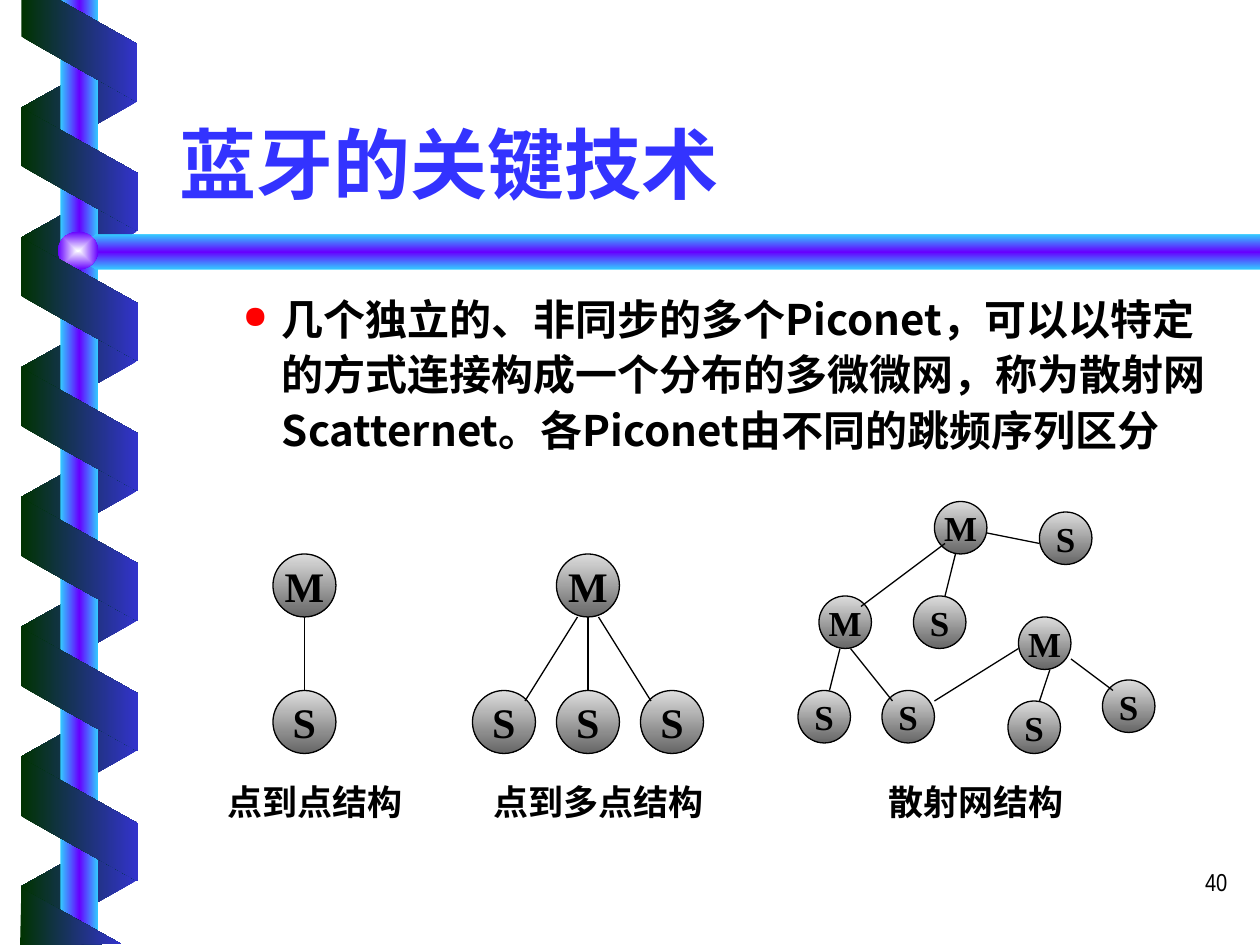
from lxml.etree import SubElement
from pptx import Presentation
from pptx.dml.color import RGBColor
from pptx.enum.shapes import MSO_CONNECTOR as CONN, MSO_SHAPE as SHAPE
from pptx.enum.text import MSO_ANCHOR as ANCHOR, PP_ALIGN as ALIGN
from pptx.oxml.ns import qn
from pptx.util import Inches, Pt

W, H = Inches(10), Inches(7.5)
CJK, SERIF = "Noto Sans CJK SC", "Times New Roman"
GREEN, BLUE, BLACK = "003300", "3333CC", "000000"
GLOW = ("33CCFF", "6600FF", "33CCFF")
CELL_X, CELL_Y, GRID_TOP = 100 / 120, 100 / 90, 53.07


def rgb(value):
    return RGBColor.from_string(value)


def at(x, y):
    return int(W * x / 100), int(H * y / 100)


def cell(col, row):
    return col * CELL_X, GRID_TOP + row * CELL_Y


def child(parent, tag, **attrs):
    return SubElement(parent, qn(tag), attrs)


def shade(sp, colors, angle=0, radial=False, turns=True):
    sp.shadow.inherit = False
    sp.line.fill.background()
    sp.fill.gradient()
    grad = sp._element.spPr.find(qn("a:gradFill"))
    grad.set("rotWithShape", str(int(turns)))
    for old in list(grad):
        grad.remove(old)
    stops = child(grad, "a:gsLst")
    for i, color in enumerate(colors):
        pos = 100000 * i // (len(colors) - 1)
        child(child(stops, "a:gs", pos=str(pos)), "a:srgbClr", val=color)
    if radial:
        center = dict.fromkeys("ltrb", "50000")
        child(child(grad, "a:path", path="rect"), "a:fillToRect", **center)
    else:
        child(grad, "a:lin", ang=str(angle * 60000), scaled="0")


def add_preset(s, kind, x, y, w, h, colors, **look):
    sp = s.shapes.add_shape(kind, *at(x, y), *at(w, h))
    shade(sp, colors, **look)
    return sp


def add_outline(s, points, colors, **look):
    start, *rest = [at(*point) for point in points]
    builder = s.shapes.build_freeform(*start)
    builder.add_line_segments(rest, close=True)
    shade(builder.convert_to_shape(), colors, **look)


def add_strip(s, y, h, colors, rotation, flip=False):
    sp = add_preset(s, SHAPE.PARALLELOGRAM, 1.4, y, 9.8, h, colors, turns=False)
    sp.adjustments[0] = 0.56
    sp.rotation = rotation
    if flip:
        sp._element.spPr.find(qn("a:xfrm")).set("flipH", "1")


def write(sp, text, size, font=CJK, color=BLACK, bold=True, align=ALIGN.LEFT,
          anchor=ANCHOR.TOP, wrap=True, spacing=None, bullet=None):
    tf = sp.text_frame
    tf.word_wrap = wrap
    tf.vertical_anchor = anchor
    p = tf.paragraphs[0]
    p.alignment = align
    if spacing:
        p.line_spacing = spacing
    if bullet:
        props = p._p.get_or_add_pPr()
        props.set("marL", str(Inches(0.81)))
        props.set("indent", str(Inches(-0.31)))
        child(child(props, "a:buClr"), "a:srgbClr", val="FF0000")
        child(props, "a:buSzPct", val="75000")
        child(props, "a:buChar", char=bullet)
    r = p.add_run()
    r.text = text
    r.font.size, r.font.bold, r.font.name = Pt(size), bold, font
    r.font.color.rgb = rgb(color)
    child(r._r.get_or_add_rPr(), "a:ea", typeface=CJK)


def add_text(s, x, y, w, h, text, size, **look):
    write(s.shapes.add_textbox(*at(x, y), *at(w, h)), text, size, **look)


def add_node(s, text, col, row, span, size):
    sp = add_preset(s, SHAPE.OVAL, *cell(col, row), span * CELL_X, span * CELL_Y,
                    ("DDDDDD", "666666"), angle=90)
    sp.line.color.rgb = rgb(BLACK)
    sp.line.width = Pt(0.75)
    write(sp, text, size, font=SERIF, align=ALIGN.CENTER,
          anchor=ANCHOR.MIDDLE, wrap=False)


def add_link(s, col1, row1, col2, row2):
    line = s.shapes.add_connector(CONN.STRAIGHT, *at(*cell(col1, row1)),
                                  *at(*cell(col2, row2)))
    line.line.color.rgb = rgb(BLACK)
    line.line.width = Pt(0.75)
    child(line._element.spPr, "a:effectLst")


def add_network(s, caption, col, span, size, nodes, links):
    for node in nodes:
        add_node(s, *node, span, size)
    for link in links:
        add_link(s, *link)
    add_text(s, *cell(col, 26), 20, 5.87, caption, 20, font=SERIF,
             align=ALIGN.CENTER)


def add_ribbon(s):
    for i in range(7):
        add_strip(s, 4.93 + 13.73 * i, 12.27, (BLUE, GREEN), 90, flip=True)
    add_preset(s, SHAPE.RECTANGLE, 4.8, 0, 3, 100, GLOW)
    add_outline(s, [(100, 24.8), (7.6, 24.8), (6, 26.67), (7.6, 28.53),
                    (100, 28.53)], GLOW, angle=90)
    add_preset(s, SHAPE.OVAL, 4.6, 24.53, 3.2, 4, ("FEFFFF", "6600FF"), radial=True)
    for i in range(6):
        add_strip(s, 11.73 + 13.76 * i, 12.4, (GREEN, BLUE), 270)
    add_outline(s, [(1.7, 0), (1.7, 3.87), (10.9, 10.8), (10.9, 4.67), (4.7, 0)],
                (GREEN, BLUE))
    add_outline(s, [(9.6, 99.87), (1.7, 94), (1.6, 100)], (GREEN, BLUE))


def main():
    prs = Presentation()
    prs.slide_width, prs.slide_height = W, H
    s = prs.slides.add_slide(prs.slide_layouts[6])
    add_ribbon(s)
    add_text(s, 77.6, 91.07, 20.8, 6.67, "40", 14, font="Arial Narrow",
             bold=False, align=ALIGN.RIGHT)
    add_text(s, 13.3, 6.13, 85, 16.67, "蓝牙的关键技术", 44, color="3333FF",
             anchor=ANCHOR.BOTTOM)
    add_text(s, 13.3, 29.87, 85, 20.13,
             "几个独立的、非同步的多个Piconet，可以以特定的方式连接构成一个分布的"
             "多微微网，称为散射网Scatternet。各Piconet由不同的跳频序列区分",
             24, spacing=1.1, bullet="●")
    add_network(s, "点到点结构", 18, 6, 24,
                [("M", 26, 5), ("S", 26, 18)], [(29, 11, 29, 18)])
    add_network(s, "点到多点结构", 45, 6, 24,
                [("M", 53, 5), ("S", 45, 18), ("S", 53, 18), ("S", 61, 18)],
                [(55, 11, 50, 19), (56, 11, 56, 18), (57, 11, 62, 19)])
    add_network(s, "散射网结构", 81, 5, 20,
                [("M", 78, 9), ("S", 84, 18), ("S", 76, 18), ("S", 96, 19),
                 ("M", 89, 0), ("S", 99, 1), ("S", 87, 9), ("M", 97, 11),
                 ("S", 105, 17)],
                [(81, 14, 85, 19), (80, 14, 79, 18), (90, 4, 82, 10),
                 (91, 5, 90, 9), (94, 3, 99, 4), (89, 19, 97, 14),
                 (100, 16, 99, 19), (102, 15, 106, 18)])
    prs.save("out.pptx")


if __name__ == "__main__":
    main()
